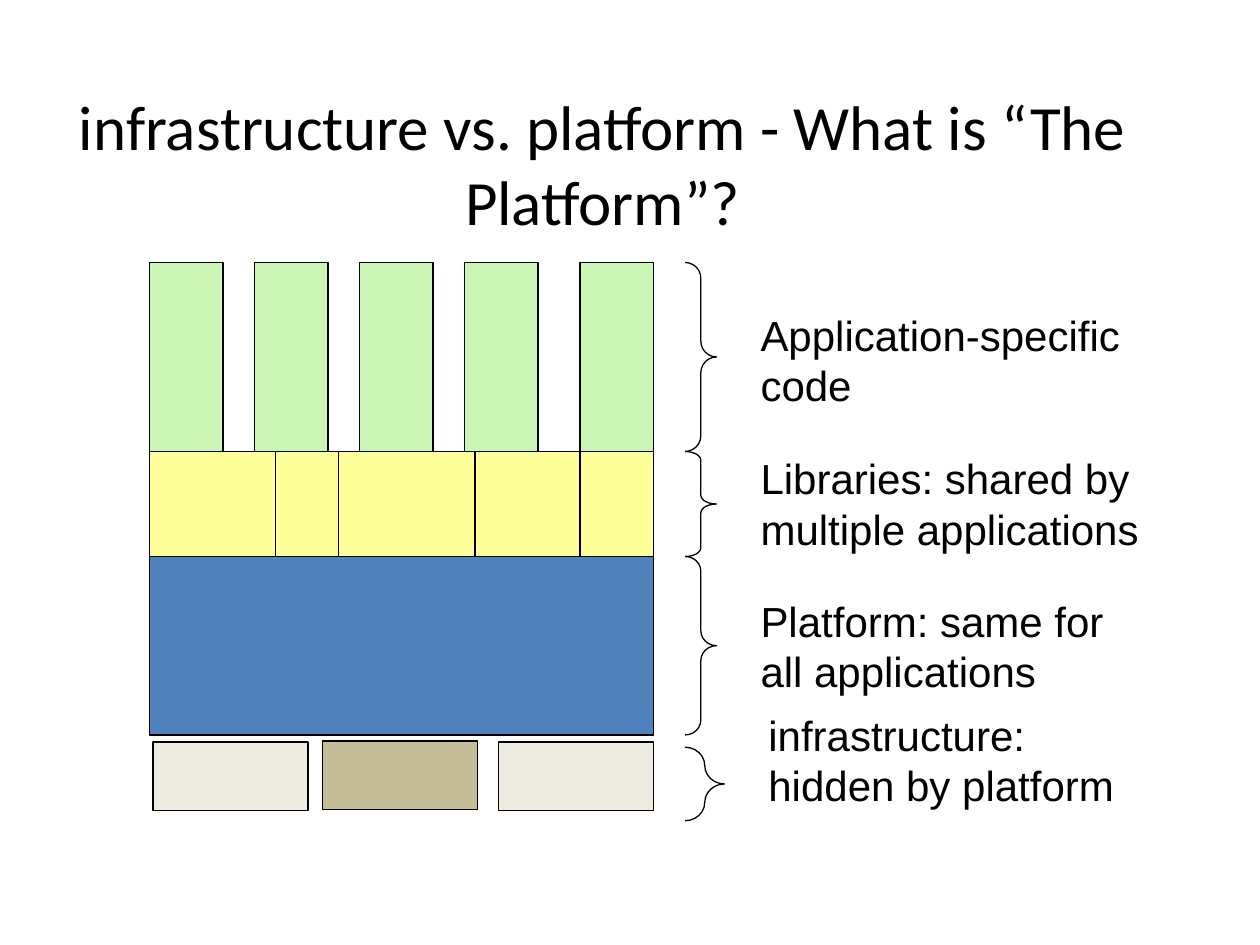
from dataclasses import dataclass
from itertools import accumulate

from pptx import Presentation
from pptx.dml.color import RGBColor
from pptx.enum.shapes import MSO_SHAPE
from pptx.enum.text import MSO_ANCHOR, PP_ALIGN
from pptx.util import Pt


@dataclass(frozen=True)
class Theme:
    ink: str = "000000"
    app: str = "CAF5B5"
    lib: str = "FFFF99"
    base: str = "4F81BD"
    infra: str = "EEECE1"
    dark: str = "C4BD97"
    head: str = "Calibri"
    body: str = "Arial"
    big: float = 36
    mid: float = 24
    line: float = 0.75


class Sketch:
    def __init__(self, slide, theme):
        self.slide = slide
        self.theme = theme

    def shape(self, kind, x, y, w, h, fill=None):
        shape = self.slide.shapes.add_shape(kind, Pt(x), Pt(y), Pt(w), Pt(h))
        shape.shadow.inherit = False
        if fill:
            shape.fill.solid()
            shape.fill.fore_color.rgb = RGBColor.from_string(fill)
        else:
            shape.fill.background()
        shape.line.color.rgb = RGBColor.from_string(self.theme.ink)
        shape.line.width = Pt(self.theme.line)
        return shape

    def block(self, x, y, w, h, fill):
        self.shape(MSO_SHAPE.RECTANGLE, x, y, w, h, fill)

    def brace(self, x, y, w, h, curve):
        """Draw a right brace; curve is the bend height as a share of h."""
        shape = self.shape(MSO_SHAPE.RIGHT_BRACE, x, y, w, h)
        shape.adjustments[0] = curve * h / w
        shape.adjustments[1] = 0.5

    def text(self, x, y, w, h, words, font, size, align=PP_ALIGN.LEFT):
        box = self.slide.shapes.add_textbox(Pt(x), Pt(y), Pt(w), Pt(h))
        frame = box.text_frame
        frame.word_wrap = True
        frame.vertical_anchor = MSO_ANCHOR.MIDDLE
        para = frame.paragraphs[0]
        para.text = words
        para.alignment = align
        para.font.name = font
        para.font.size = Pt(size)
        para.font.color.rgb = RGBColor.from_string(self.theme.ink)


def main():
    deck = Presentation()
    deck.slide_width, deck.slide_height = Pt(720), Pt(540)
    theme = Theme()
    sketch = Sketch(deck.slides.add_slide(deck.slide_layouts[6]), theme)

    sketch.text(29, 49, 630.5, 88,
                "infrastructure vs. platform - What is “The Platform”?",
                theme.head, theme.big, PP_ALIGN.CENTER)

    left, width = 85.5, 288
    app_top, lib_top, base_top, base_end = 150, 258, 318, 420

    sketch.block(left, base_top, width, base_end - base_top, theme.base)

    libs = [72, 36, 78, 60, 42]
    for x, w in zip(accumulate(libs, initial=left), libs):
        sketch.block(x, lib_top, w, base_top - lib_top, theme.lib)

    app_width = 42
    for step in (0, 60, 120, 180, width - app_width):
        sketch.block(left + step, app_top, app_width, lib_top - app_top,
                     theme.app)

    for x, y, fill in ((87.5, 424, theme.infra), (184.5, 423.5, theme.dark),
                       (285, 424, theme.infra)):
        sketch.block(x, y, 88.5, 39, fill)

    # brace top, end, width, curve; label left, top, words
    layers = [
        (app_top, lib_top, 18, 1 / 12, 427.5, 173,
         "Application-specific code"),
        (lib_top, base_top, 18, 1 / 12, 427.5, 255,
         "Libraries: shared by multiple applications"),
        (base_top, base_end, 18, 1 / 12, 427.5, 336.5,
         "Platform: same for all applications"),
        (427, 469, 22.5, 1 / 4, 432, 401.5,
         "infrastructure: hidden by platform"),
    ]
    for top, end, w, curve, x, y, words in layers:
        sketch.brace(391.5, top, w, end - top, curve)
        sketch.text(x, y, 234, 65, words, theme.body, theme.mid)

    deck.save("out.pptx")


if __name__ == "__main__":
    main()
